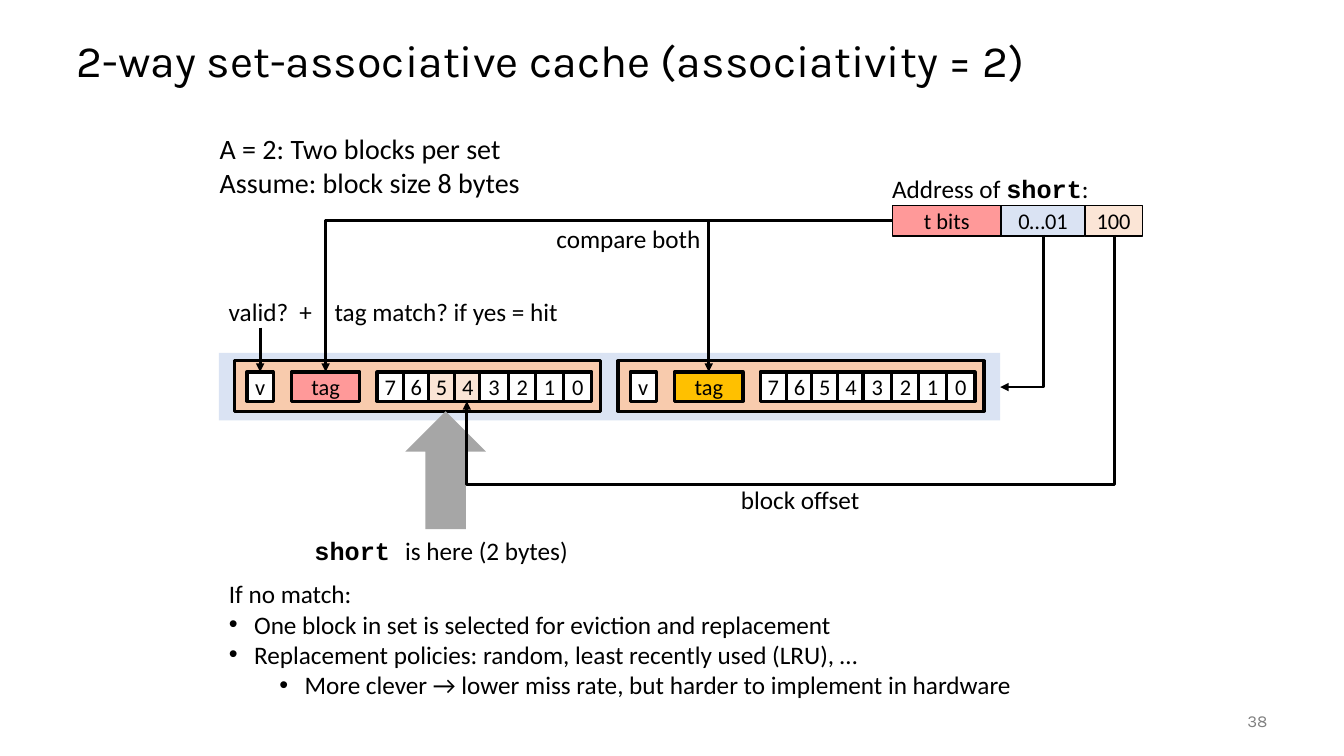
from dataclasses import dataclass
from typing import NamedTuple

from lxml import etree
from pptx import Presentation
from pptx import util as u
from pptx.dml.color import RGBColor
from pptx.enum import shapes, text
from pptx.oxml import ns

PX = 9144  # EMU per px, 100 px to the inch

BLACK = RGBColor(0x00, 0x00, 0x00)
WHITE = RGBColor(0xFF, 0xFF, 0xFF)
GRAY = RGBColor(0x80, 0x80, 0x80)
ARROW_GRAY = RGBColor(0xA6, 0xA6, 0xA6)
PINK = RGBColor(0xFF, 0x99, 0x99)
PALE_BLUE = RGBColor(0xDA, 0xE3, 0xF3)
CREAM = RGBColor(0xFB, 0xE5, 0xD6)
PEACH = RGBColor(0xF8, 0xCB, 0xAD)
GOLD = RGBColor(0xFF, 0xC0, 0x00)

MAIN, MONO, HEADING = "Calibri", "Courier New", "Karla"
NO_INSETS = dict(margin_left=0, margin_right=0, margin_top=0, margin_bottom=0)


class Span(NamedTuple):
    text: str
    mono: bool = False


class Area(NamedTuple):
    left: int
    top: int
    width: int
    height: int


class Point(NamedTuple):
    x: float
    y: float


@dataclass
class Cell:
    area: Area
    fill: RGBColor
    caption: str = ""
    line: float = 0
    kind: int = shapes.MSO_SHAPE.RECTANGLE


@dataclass
class Label:
    area: Area
    lines: list
    size: int = 18
    tab: int = 0


@dataclass
class Bend:
    start: Point
    end: Point
    downward: bool = False
    middle: int = 0  # place of the middle leg, in thousandths of a percent


@dataclass
class Item:
    words: str
    level: int = 0
    indent: int = 0
    bullet: bool = True


def px(value: float) -> int:
    return round(value * PX)


def scaled(area: Area) -> list:
    return [px(value) for value in area]


def apply(target, values: dict) -> None:
    for name, value in values.items():
        setattr(target, name, value)


def add(parent, tag: str, **attributes):
    return etree.SubElement(parent, ns.qn(tag), attributes)


def style(font, size: float, name: str = MAIN, bold: bool = False, color=BLACK) -> None:
    apply(font, dict(size=u.Pt(size), name=name, bold=bold))
    font.color.rgb = color


def draw_cell(page, cell: Cell):
    box = page.shapes.add_shape(cell.kind, *scaled(cell.area))
    box.shadow.inherit = False
    box.fill.solid()
    box.fill.fore_color.rgb = cell.fill
    if cell.line:
        box.line.color.rgb = BLACK
        box.line.width = u.Pt(cell.line)
    else:
        box.line.fill.background()
    if cell.caption:
        apply(box.text_frame, dict(NO_INSETS, word_wrap=False,
                                   vertical_anchor=text.MSO_ANCHOR.MIDDLE))
        para = box.text_frame.paragraphs[0]
        para.text = cell.caption
        para.alignment = text.PP_ALIGN.CENTER
        style(para.font, 16)
    return box


def draw_label(page, label: Label) -> None:
    frame = page.shapes.add_textbox(*scaled(label.area)).text_frame
    apply(frame, dict(word_wrap=False, auto_size=text.MSO_AUTO_SIZE.SHAPE_TO_FIT_TEXT))
    for number, spans in enumerate(label.lines):
        para = frame.add_paragraph() if number else frame.paragraphs[0]
        if label.tab:
            stops = add(para._p.get_or_add_pPr(), "a:tabLst")
            add(stops, "a:tab", pos=str(px(label.tab)), algn="l")
        for words, mono in spans:
            span = para.add_run()
            span.text = words
            style(span.font, label.size, MONO if mono else MAIN, mono)


def draw_arrow(page, kind, start: Point, end: Point):
    arrow = page.shapes.add_connector(kind, *[px(value) for value in (*start, *end)])
    arrow.line.color.rgb = BLACK
    arrow.line.width = u.Pt(2)
    add(arrow.line._get_or_add_ln(), "a:tailEnd", type="triangle")
    add(arrow._element.spPr, "a:effectLst")
    return arrow


def draw_bend(page, bend: Bend) -> None:
    start, end = bend.start, bend.end
    if bend.downward:  # a quarter turn about the centre makes the first leg vertical
        x, y = (start.x + end.x) / 2, (start.y + end.y) / 2
        across, down = (end.y - start.y) / 2, (start.x - end.x) / 2
        start, end = Point(x - across, y - down), Point(x + across, y + down)
    arrow = draw_arrow(page, shapes.MSO_CONNECTOR.ELBOW, start, end)
    properties = arrow._element.spPr
    if bend.downward:
        properties.find(ns.qn("a:xfrm")).set("rot", "5400000")
    geometry = properties.find(ns.qn("a:prstGeom"))
    if bend.middle:
        guides = geometry.find(ns.qn("a:avLst"))
        add(guides, "a:gd", name="adj1", fmla=f"val {bend.middle}")
    else:
        geometry.set("prst", "bentConnector2")


def draw_block(page, left: int, tag_fill: RGBColor, used: str):
    """Draw one cache block and return its valid-bit cell."""
    draw_cell(page, Cell(Area(left, 358, 363, 50), PEACH, line=2.25))
    valid = draw_cell(page, Cell(Area(left + 12, 369, 26, 29), WHITE, "v", 2.25))
    draw_cell(page, Cell(Area(left + 56, 369, 68, 29), tag_fill, "tag", 2.25))
    for first, step, width, digits in ((141, 25.7, 26, "7654"), (243, 27.7, 28, "3210")):
        for place, digit in enumerate(digits):
            area = Area(left + round(first + place * step), 369, width, 29)
            draw_cell(page, Cell(area, CREAM if digit in used else WHITE, digit, 2.25))
    return valid


def fill_list(body, area: Area, items: list) -> None:
    apply(body, dict(zip(("left", "top", "width", "height"), scaled(area))))
    apply(body.text_frame, dict(word_wrap=True, auto_size=text.MSO_AUTO_SIZE.NONE))
    for number, item in enumerate(items):
        para = body.text_frame.add_paragraph() if number else body.text_frame.paragraphs[0]
        apply(para, dict(text=item.words, level=item.level, space_before=u.Pt(0)))
        layout = para._p.get_or_add_pPr()
        layout.set("marL", str(px(item.indent)))
        layout.set("indent", str(px(-25 if item.bullet else 0)))
        if item.bullet:
            add(layout, "a:buFont", typeface="Arial")
            add(layout, "a:buChar", char="•")
        else:
            add(layout, "a:buNone")
        style(para.font, 18)


LABELS = [
    Label(Area(208, 126, 321, 77), [[Span("A = 2: Two blocks per set")],
                                    [Span("Assume: block size 8 bytes")]], 20),
    Label(Area(875, 167, 217, 40), [[Span("Address of "), Span("short", True), Span(":")]]),
    Label(Area(542, 217, 167, 40), [[Span("compare both")]]),
    Label(Area(217, 289, 112, 40), [[Span("valid?\t+")]], tab=70),
    Label(Area(322, 289, 249, 40), [[Span("tag match? if yes = hit")]]),
    Label(Area(725, 476, 142, 40), [[Span("block offset")]]),
    Label(Area(302, 526, 274, 40), [[Span("short ", True), Span("is here (2 bytes)")]]),
]
ADDRESS = [
    Cell(Area(885, 204, 108, 30), PINK, "t bits", 1),
    Cell(Area(993, 204, 83, 30), PALE_BLUE, "0…01", 1),
    Cell(Area(1076, 204, 57, 30), CREAM, "100", 1),
]
BENDS = [
    Bend(Point(1035, 233), Point(992, 384), downward=True),
    Bend(Point(885, 219), Point(703, 369)),
    Bend(Point(885, 219), Point(323, 369)),
    Bend(Point(1105, 233), Point(463, 398), downward=True, middle=150000),
]
ITEMS = [
    Item("If no match:", bullet=False),
    Item("One block in set is selected for eviction and replacement", indent=25),
    Item("Replacement policies: random, least recently used (LRU), …", indent=25),
    Item("More clever → lower miss rate, but harder to implement in hardware", 1, 75),
]


def main() -> None:
    deck = Presentation()
    apply(deck, dict(slide_width=px(1333), slide_height=px(750)))
    page = deck.slides.add_slide(deck.slide_layouts[1])

    # Title and closing list
    title = page.shapes.title
    apply(title, dict(zip(("left", "top", "width", "height"), scaled(Area(66, 25, 1200, 75)))))
    apply(title.text_frame, dict(text="2-way set-associative cache (associativity = 2)",
                                 vertical_anchor=text.MSO_ANCHOR.MIDDLE))
    para = title.text_frame.paragraphs[0]
    apply(para, dict(alignment=text.PP_ALIGN.LEFT, line_spacing=0.9))
    style(para.font, 32, HEADING)
    fill_list(page.placeholders[1], Area(217, 569, 805, 131), ITEMS)

    # Address fields and the set with its two blocks
    for cell in ADDRESS:
        draw_cell(page, cell)
    draw_cell(page, Cell(Area(217, 350, 775, 67), PALE_BLUE))
    valid = draw_block(page, 233, PINK, used="54")
    draw_block(page, 613, GOLD, used="")
    draw_cell(page, Cell(Area(402, 408, 80, 117), ARROW_GRAY, kind=shapes.MSO_SHAPE.UP_ARROW))

    # Arrows and labels
    for bend in BENDS:
        draw_bend(page, bend)
    check = draw_arrow(page, shapes.MSO_CONNECTOR.STRAIGHT, Point(258, 325), Point(258, 369))
    check.end_connect(valid, 0)
    for label in LABELS:
        draw_label(page, label)

    # Page number
    frame = page.shapes.add_textbox(*scaled(Area(1167, 695, 100, 40))).text_frame
    apply(frame, dict(text="38", word_wrap=True, vertical_anchor=text.MSO_ANCHOR.MIDDLE))
    frame.paragraphs[0].alignment = text.PP_ALIGN.RIGHT
    style(frame.paragraphs[0].font, 12, HEADING, color=GRAY)

    deck.save("out.pptx")


if __name__ == "__main__":
    main()
